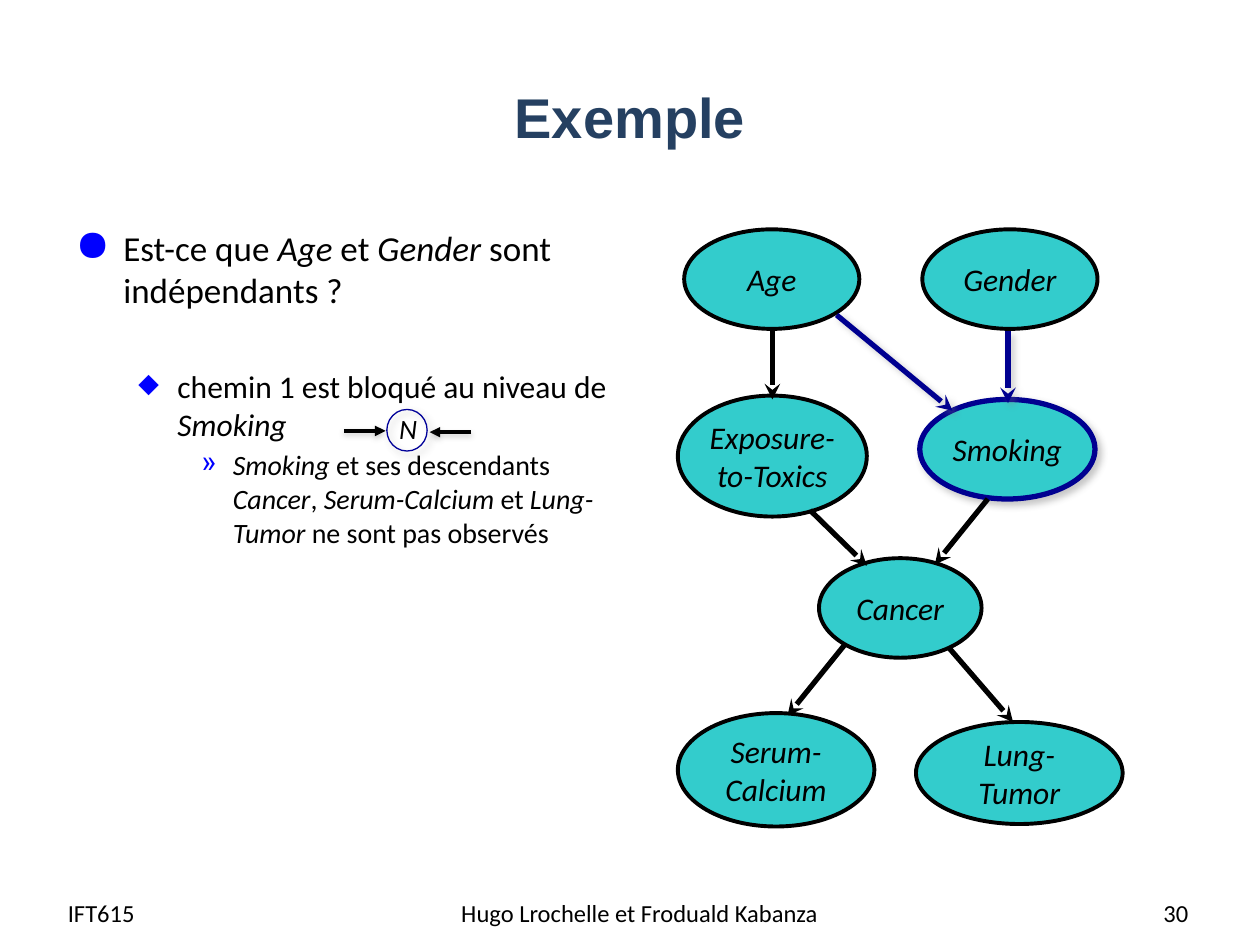
from lxml.etree import SubElement
from pptx import Presentation
from pptx.dml.color import RGBColor
from pptx.enum.shapes import MSO_CONNECTOR, MSO_SHAPE
from pptx.enum.text import MSO_ANCHOR, PP_ALIGN
from pptx.oxml.ns import qn
from pptx.util import Inches, Pt

COLORS = {
    "text": "000000",
    "title": "254061",
    "bullet": "0000FF",
    "node": "33CCCC",
    "highlight": "000090",
    "collider": "000099",
    "shadow": "808080",
}
NODE_SHADOW = (43, 4, 3, 45)
COLLIDER_SHADOW = (38, 3.1, 1.6, 90)

UPPER_NODES = [
    (["Smoking"], 7.3, 3.17, 1.39, 0.79, True),
    (["Gender"], 7.32, 1.82, 1.39, 0.79, False),
    (["Age"], 5.43, 1.82, 1.39, 0.79, False),
    (["Cancer"], 6.5, 4.43, 1.29, 0.79, False),
    (["Exposure-", "to-Toxics"], 5.38, 3.14, 1.5, 0.96, False),
]
LOWER_NODES = [
    (["Lung-", "Tumor"], 7.27, 5.73, 1.64, 0.81, False),
    (["Serum-", "Calcium"], 5.38, 5.66, 1.56, 0.9, False),
]
EDGES = [
    (8, 2.63, 8, 3.2, True),
    (6.64, 2.5, 7.56, 3.26, True),
    (7.84, 3.96, 7.42, 4.48, False),
    (7.53, 5.14, 8.04, 5.73, False),
    (6.71, 5.11, 6.25, 5.68, False),
    (6.43, 4.05, 6.88, 4.49, False),
    (6.13, 2.6, 6.13, 3.17, False),
]
COLLIDER_ARROWS = [(2.73, 3.42, 3.06, 3.42), (3.74, 3.43, 3.41, 3.43)]
OUTLINE = [
    (0, 20, 0, 0.38, 0.38, "●", 125,
     [("Est-ce que ", False), ("Age", True), (" et ", False),
      ("Gender ", True), ("sont indépendants ?", False)]),
    (1, 18, 32, 0.81, 0.31, "◆", 85,
     [("chemin 1 est bloqué au niveau de ", False), ("Smoking", True)]),
    (2, 16, 3.2, 1.25, 0.25, "»", 100,
     [("Smoking", True), (" et ses descendants ", False), ("Cancer", True),
      (", ", False), ("Serum-Calcium", True), (" et ", False),
      ("Lung-Tumor", True), (" ne sont pas observés", False)]),
]
FOOTERS = [
    ("IFT615", 0.44, 1.93, PP_ALIGN.LEFT),
    (" Hugo Lrochelle et Froduald Kabanza", 3.47, 3.17, PP_ALIGN.CENTER),
    ("30", 7.2, 2.33, PP_ALIGN.RIGHT),
]


def rgb(name):
    return RGBColor.from_string(COLORS[name])


def add_run(paragraph, text, size, italic=False, bold=False, font="Calibri", color="text"):
    run = paragraph.add_run()
    run.text = text
    run.font.name = font
    run.font.size = Pt(size)
    run.font.italic = italic
    run.font.bold = bold
    run.font.color.rgb = rgb(color)


def add_box(slide, left, top, width, height, anchor=MSO_ANCHOR.TOP, wrap=True):
    box = slide.shapes.add_textbox(Inches(left), Inches(top), Inches(width), Inches(height))
    frame = box.text_frame
    frame.word_wrap = wrap
    frame.vertical_anchor = anchor
    return frame


def set_shadow(shape, shadow=None):
    properties = shape._element.spPr
    effects = properties.find(qn("a:effectLst"))
    if effects is None:
        effects = SubElement(properties, qn("a:effectLst"))
    if shadow:
        alpha, blur, distance, angle = shadow
        outer = SubElement(effects, qn("a:outerShdw"), blurRad=str(Pt(blur)),
                           dist=str(Pt(distance)), dir=str(angle * 60000),
                           algn="ctr", rotWithShape="0")
        color = SubElement(outer, qn("a:srgbClr"), val=COLORS["shadow"])
        SubElement(color, qn("a:alpha"), val=str(alpha * 1000))


def add_ellipse(slide, left, top, width, height, line_color, line_width, fill=None, shadow=None):
    ellipse = slide.shapes.add_shape(MSO_SHAPE.OVAL, Inches(left), Inches(top),
                                     Inches(width), Inches(height))
    if fill:
        ellipse.fill.solid()
        ellipse.fill.fore_color.rgb = rgb(fill)
    else:
        ellipse.fill.background()
    ellipse.line.color.rgb = rgb(line_color)
    ellipse.line.width = Pt(line_width)
    ellipse.shadow.inherit = False
    set_shadow(ellipse, shadow)
    return ellipse


def add_node(slide, lines, left, top, width, height, highlighted):
    style = ("highlight", 3, "node", NODE_SHADOW) if highlighted else ("text", 2.25, "node")
    frame = add_ellipse(slide, left, top, width, height, *style).text_frame
    frame.word_wrap = False
    frame.vertical_anchor = MSO_ANCHOR.MIDDLE
    for index, line in enumerate(lines):
        paragraph = frame.add_paragraph() if index else frame.paragraphs[0]
        paragraph.alignment = PP_ALIGN.CENTER
        add_run(paragraph, line, 18, italic=True)


def add_arrow(slide, start_x, start_y, end_x, end_y, color, width, head, shadow=None):
    arrow = slide.shapes.add_connector(MSO_CONNECTOR.STRAIGHT, Inches(start_x), Inches(start_y),
                                       Inches(end_x), Inches(end_y))
    arrow.line.color.rgb = rgb(color)
    arrow.line.width = Pt(width)
    SubElement(arrow.line._get_or_add_ln(), qn("a:tailEnd"), type=head)
    set_shadow(arrow, shadow)


def add_edge(slide, start_x, start_y, end_x, end_y, highlighted):
    color, shadow = ("highlight", NODE_SHADOW) if highlighted else ("text", None)
    add_arrow(slide, start_x, start_y, end_x, end_y, color, 3, "stealth", shadow)


def set_bullet(paragraph, character, percent, margin, hanging):
    properties = paragraph._p.get_or_add_pPr()
    properties.set("marL", str(Inches(margin)))
    properties.set("indent", str(-Inches(hanging)))
    color = SubElement(properties, qn("a:buClr"))
    SubElement(color, qn("a:srgbClr"), val=COLORS["bullet"])
    SubElement(properties, qn("a:buSzPct"), val=str(percent * 1000))
    SubElement(properties, qn("a:buChar"), char=character)


def add_outline(slide):
    frame = add_box(slide, 0.5, 1.75, 4.42, 4.95)
    for index, (level, size, before, margin, hanging, bullet, percent, runs) in enumerate(OUTLINE):
        paragraph = frame.add_paragraph() if index else frame.paragraphs[0]
        paragraph.level = level
        paragraph.space_before = Pt(before)
        set_bullet(paragraph, bullet, percent, margin, hanging)
        for text, italic in runs:
            add_run(paragraph, text, size, italic)


def add_title(slide):
    paragraph = add_box(slide, 0.5, 0.3, 9, 1.25, MSO_ANCHOR.MIDDLE).paragraphs[0]
    paragraph.alignment = PP_ALIGN.CENTER
    add_run(paragraph, "Exemple", 32, bold=True, font="Arial", color="title")


def add_footer(slide, text, left, width, alignment):
    paragraph = add_box(slide, left, 7.04, width, 0.4, MSO_ANCHOR.MIDDLE).paragraphs[0]
    paragraph.alignment = alignment
    add_run(paragraph, text, 14)


def add_collider(slide):
    for points in COLLIDER_ARROWS:
        add_arrow(slide, *points, "text", 2, "triangle", COLLIDER_SHADOW)
    add_ellipse(slide, 3.07, 3.25, 0.32, 0.33, "collider", 0.75, shadow=NODE_SHADOW)
    frame = add_box(slide, 3.07, 3.22, 0.37, 0.37, wrap=False)
    add_run(frame.paragraphs[0], "N", 16, italic=True)


def main():
    presentation = Presentation()
    presentation.slide_width = Inches(10)
    presentation.slide_height = Inches(7.5)
    slide = presentation.slides.add_slide(presentation.slide_layouts[6])
    add_title(slide)
    add_outline(slide)
    for footer in FOOTERS:
        add_footer(slide, *footer)
    for node in UPPER_NODES:
        add_node(slide, *node)
    for edge in EDGES:
        add_edge(slide, *edge)
    for node in LOWER_NODES:
        add_node(slide, *node)
    add_collider(slide)
    presentation.save("out.pptx")


if __name__ == "__main__":
    main()
